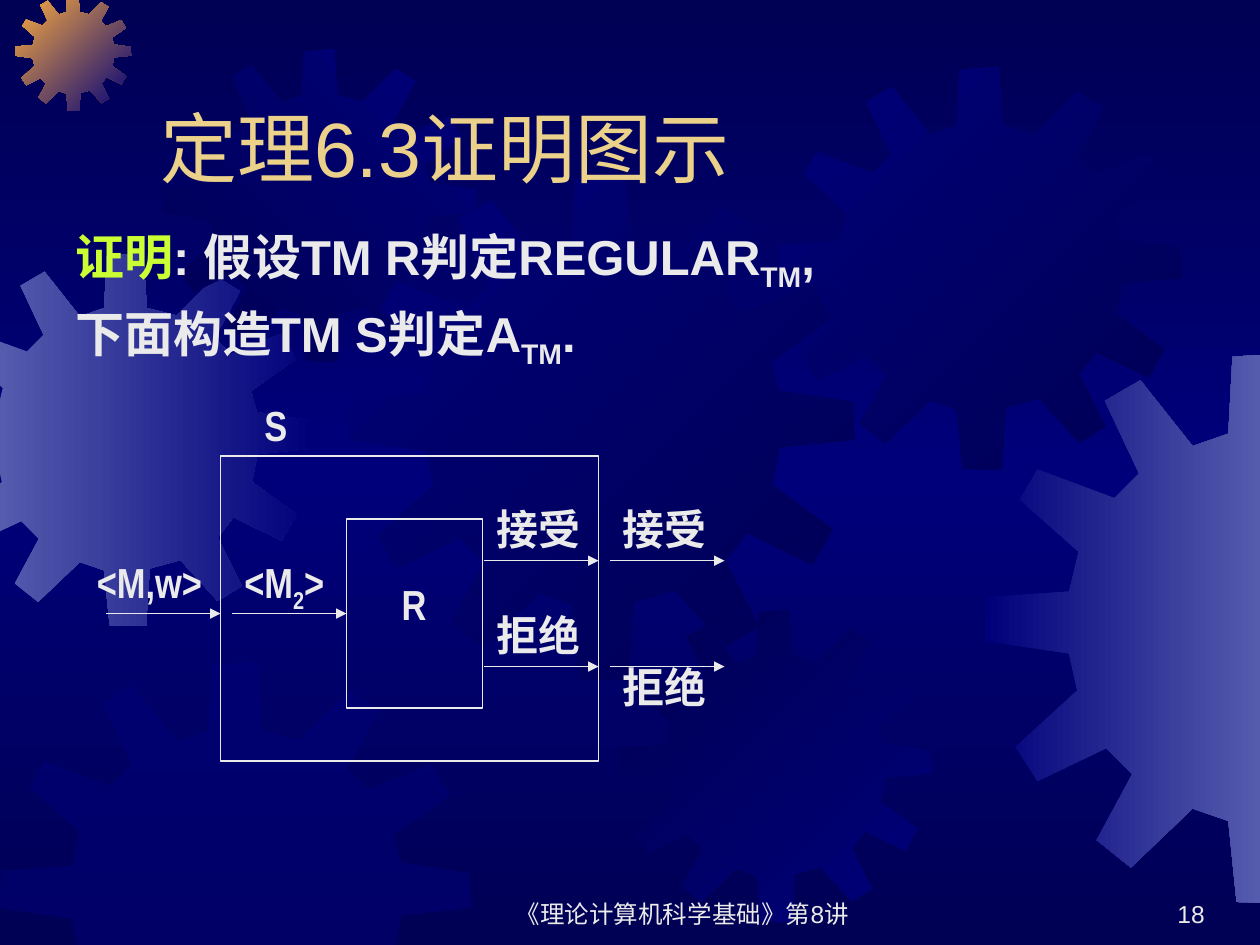
from copy import deepcopy
from dataclasses import dataclass

from lxml.etree import SubElement
from pptx import Presentation
from pptx.dml.color import RGBColor
from pptx.enum.shapes import MSO_CONNECTOR, MSO_SHAPE
from pptx.enum.text import MSO_ANCHOR as Anchor, MSO_AUTO_SIZE as AutoSize, PP_ALIGN as Align
from pptx.oxml.ns import qn
from pptx.util import Inches, Pt


@dataclass(frozen=True)
class Theme:
    dark: str = "000054"
    blue: str = "00007A"
    pale: str = "555BAD"
    orange: str = "FCAB40"
    text: str = "EAEAEA"
    title: str = "EBD189"
    accent: str = "CCFF33"
    font: str = "Arial"
    label_font: str = "Arial Narrow"
    title_size: int = 44
    body_size: int = 28
    label_size: int = 24
    footer_size: int = 14
    line: float = 0.75


THEME = Theme()
WIDTH, HEIGHT = 10, 7.5

# Outline of the twelve-toothed gear, on a grid of GEAR_UNITS by GEAR_UNITS
GEAR_UNITS = 401
GEAR = [
    (255, 67), (223, 59), (219, 0), (180, 3), (177, 59), (151, 68), (113, 20), (87, 35),
    (112, 88), (94, 106), (38, 85), (25, 107), (68, 145), (61, 174), (1, 178), (0, 210),
    (61, 219), (67, 246), (22, 287), (38, 312), (88, 288), (107, 307), (81, 355), (106, 375),
    (151, 332), (177, 341), (183, 400), (222, 401), (226, 339), (259, 330), (299, 374), (325, 358),
    (299, 306), (316, 284), (368, 309), (384, 281), (336, 246), (342, 216), (401, 210), (400, 180),
    (341, 171), (335, 148), (383, 114), (367, 87), (313, 109), (296, 91), (323, 41), (297, 25),
]


def color(value):
    return RGBColor.from_string(value)


def set_gradient(fill, colors, angle):
    """Evenly spaced stops; the angle runs clockwise."""
    fill.gradient()
    fill.gradient_angle = (360 - angle) % 360
    stops = fill.gradient_stops
    first = stops[0]._gs
    for _ in colors[2:]:
        first.addnext(deepcopy(first))
    for index, (stop, value) in enumerate(zip(fill.gradient_stops, colors)):
        stop.color.rgb = color(value)
        stop.color.brightness = 0
        stop.position = index / (len(colors) - 1)


def clip(points, axis, limit, sign):
    """Keep the part of a polygon on one side of a slide edge."""
    kept = []
    for start, end in zip(points, points[1:] + points[:1]):
        start_in = sign * (start[axis] - limit) >= 0
        end_in = sign * (end[axis] - limit) >= 0
        if start_in:
            kept.append(start)
        if start_in != end_in:
            share = (limit - start[axis]) / (end[axis] - start[axis])
            kept.append(tuple(a + share * (b - a) for a, b in zip(start, end)))
    return kept


def add_gear(slide, left, top, size, colors, angle=0):
    scale = size / GEAR_UNITS
    points = [(left + x * scale, top + y * scale) for x, y in GEAR]
    for axis, limit, sign in ((0, 0, 1), (0, WIDTH, -1), (1, 0, 1), (1, HEIGHT, -1)):
        points = clip(points, axis, limit, sign)
    corners = [(Inches(x), Inches(y)) for x, y in points]
    builder = slide.shapes.build_freeform(*corners[0])
    builder.add_line_segments(corners[1:], close=True)
    gear = builder.convert_to_shape()
    gear.shadow.inherit = False
    gear.line.fill.background()
    if len(colors) > 1:
        set_gradient(gear.fill, colors, angle)
    else:
        gear.fill.solid()
        gear.fill.fore_color.rgb = color(colors[0])
    return gear


def add_run(paragraph, text, size, value=THEME.text, font=THEME.font, bold=False, subscript=False):
    run = paragraph.add_run()
    run.text = text
    run.font.size = Pt(size)
    run.font.name = font
    run.font.bold = bold
    run.font.color.rgb = color(value)
    if subscript:
        run._r.get_or_add_rPr().set("baseline", "-25000")


def add_textbox(slide, left, top, width, height, anchor=Anchor.TOP):
    shape = slide.shapes.add_textbox(Inches(left), Inches(top), Inches(width), Inches(height))
    frame = shape.text_frame
    frame.word_wrap = True
    frame.vertical_anchor = anchor
    return frame


def add_background(slide):
    t = THEME
    set_gradient(slide.background.fill, (t.dark, t.blue, t.dark), 90)
    add_gear(slide, -0.48, 2.01, 2.96, (t.pale, t.blue))
    add_gear(slide, 0.12, -0.04, 0.92, (t.orange, t.blue), 45)
    add_gear(slide, 1.3, 0.39, 2.48, (t.dark, t.blue), 315)
    add_gear(slide, 2.77, 1.39, 4.01, (t.blue, t.dark), 45)
    faint = add_gear(slide, 0, 5.25, 3.74, (t.blue,))
    fill_color = faint._element.spPr.find(qn("a:solidFill"))[0]
    SubElement(fill_color, qn("a:alpha")).set("val", "50000")
    add_gear(slide, 4.91, 4.84, 2.48, (t.dark, t.blue), 45)
    add_gear(slide, 6.18, 0.53, 3.2, (t.blue, t.dark), 45)
    add_gear(slide, 7.82, 2.8, 4.37, (t.blue, t.pale))


def add_title(slide, left, top, width, height):
    title = slide.shapes.title
    title.left, title.top = Inches(left), Inches(top)
    title.width, title.height = Inches(width), Inches(height)
    frame = title.text_frame
    frame.auto_size = AutoSize.NONE
    frame.vertical_anchor = Anchor.BOTTOM
    paragraph = frame.paragraphs[0]
    paragraph.alignment = Align.LEFT
    add_run(paragraph, "定理6.3证明图示", THEME.title_size, THEME.title)


def add_body(slide, left, top, width, height):
    frame = add_textbox(slide, left, top, width, height)
    lines = (
        (("证明", THEME.accent, False), (": 假设TM R判定REGULAR", THEME.text, False),
         ("TM", THEME.text, True), (",", THEME.text, False)),
        (("下面构造TM S判定A", THEME.text, False), ("TM", THEME.text, True), (".", THEME.text, False)),
    )
    for index, runs in enumerate(lines):
        paragraph = frame.add_paragraph() if index else frame.paragraphs[0]
        paragraph.space_after = Pt(THEME.body_size * 0.2)
        for text, value, subscript in runs:
            add_run(paragraph, text, THEME.body_size, value, bold=True, subscript=subscript)


def add_box(slide, left, top, width, height):
    box = slide.shapes.add_shape(
        MSO_SHAPE.RECTANGLE, Inches(left), Inches(top), Inches(width), Inches(height))
    box.shadow.inherit = False
    box.fill.background()
    box.line.color.rgb = color(THEME.text)
    box.line.width = Pt(THEME.line)


def add_arrow(slide, left, top, length):
    arrow = slide.shapes.add_connector(
        MSO_CONNECTOR.STRAIGHT, Inches(left), Inches(top), Inches(left + length), Inches(top))
    arrow.line.color.rgb = color(THEME.text)
    arrow.line.width = Pt(THEME.line)
    SubElement(arrow.line._get_or_add_ln(), qn("a:tailEnd")).set("type", "triangle")
    SubElement(arrow._element.spPr, qn("a:effectLst"))


def add_label(slide, left, top, width, *parts):
    """Every second part is a subscript."""
    paragraph = add_textbox(slide, left, top, width, 0.5).paragraphs[0]
    for index, part in enumerate(parts):
        add_run(paragraph, part, THEME.label_size, font=THEME.label_font,
                bold=True, subscript=index % 2 == 1)


def add_diagram(slide, left, top, width, height):
    """Machine S fills the given box; machine R sits inside it."""
    add_box(slide, left, top, width, height)
    add_box(slide, left + 1, top + 0.5, 1.08, 1.5)
    add_label(slide, left + 0.25, top - 0.5, 0.5, "S")
    add_label(slide, left + 1.34, top + 0.92, 0.5, "R")

    accept, middle, reject = top + 0.83, top + 1.25, top + 1.67
    # Inputs, then the two outcomes of R and of S
    inner, outer = left + 2.09, left + 3.09
    for x, y in ((left - 0.91, middle), (left + 0.09, middle), (inner, accept),
                 (outer, accept), (inner, reject), (outer, reject)):
        add_arrow(slide, x, y, 0.91)
    add_label(slide, left - 1.08, middle - 0.5, 1.08, "<M,w>")
    add_label(slide, left + 0.09, middle - 0.5, 1.08, "<M", "2", ">")
    for x, y, text in ((inner, accept - 0.5, "接受"), (outer, accept - 0.5, "接受"),
                       (inner, reject - 0.5, "拒绝"), (outer, reject - 0.09, "拒绝")):
        add_label(slide, x, y, 1.08, text)


def add_footer(slide, top, height):
    for left, width, align, text in ((3.83, 3.17, Align.CENTER, "《理论计算机科学基础》第8讲"),
                                     (7.58, 2.08, Align.RIGHT, "18")):
        paragraph = add_textbox(slide, left, top, width, height, Anchor.BOTTOM).paragraphs[0]
        paragraph.alignment = align
        add_run(paragraph, text, THEME.footer_size)


def main():
    presentation = Presentation()
    presentation.slide_width, presentation.slide_height = Inches(WIDTH), Inches(HEIGHT)
    slide = presentation.slides.add_slide(presentation.slide_layouts[5])
    add_background(slide)
    add_title(slide, 1.17, 0.33, 8.5, 1.25)
    # The title stands in front of the gears
    slide.shapes._spTree.append(slide.shapes.title._element)
    add_body(slide, 0.5, 1.75, 9, 2.2)
    add_diagram(slide, 1.75, 3.62, 3, 2.42)
    add_footer(slide, 6.92, 0.5)
    presentation.save("out.pptx")


if __name__ == "__main__":
    main()
